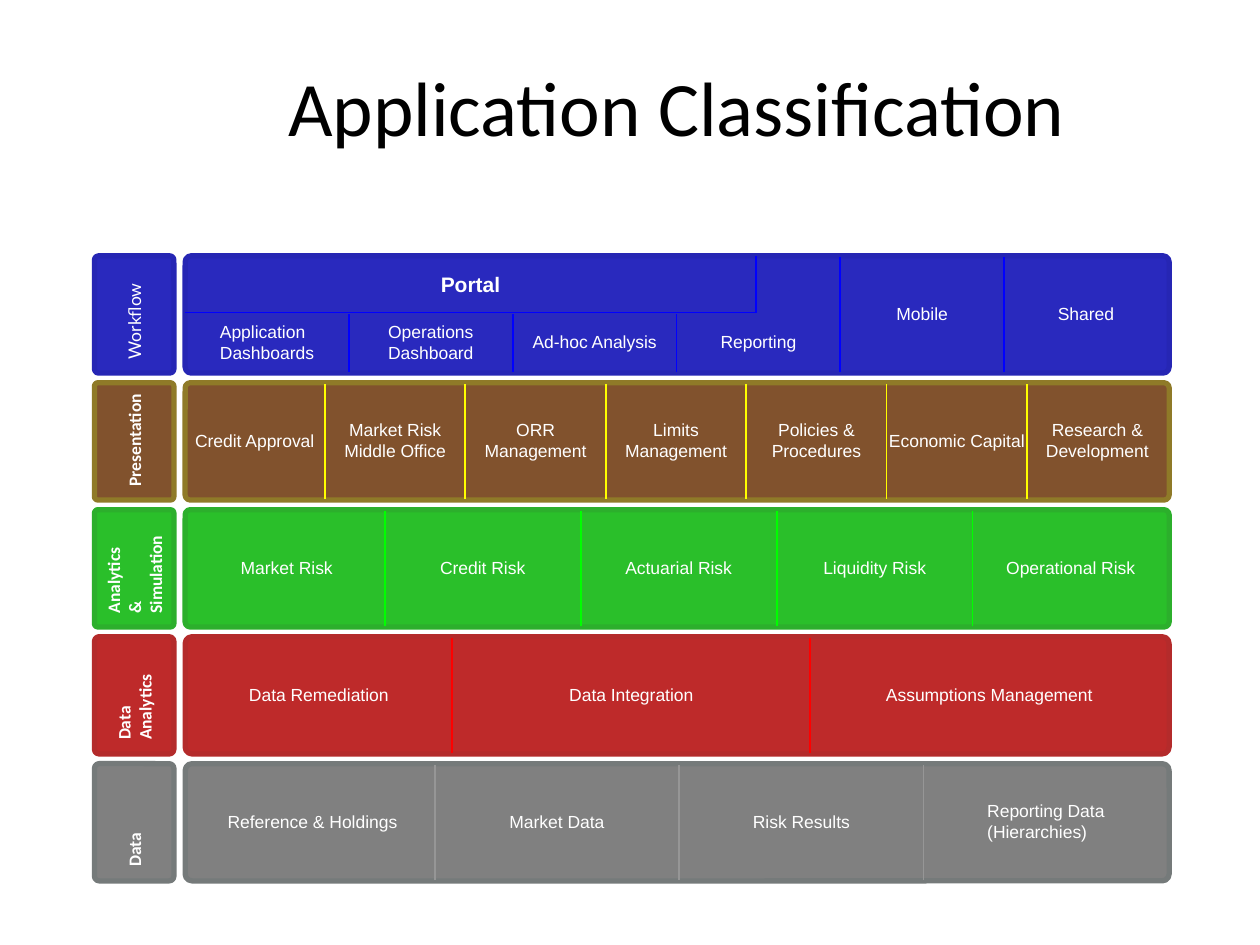
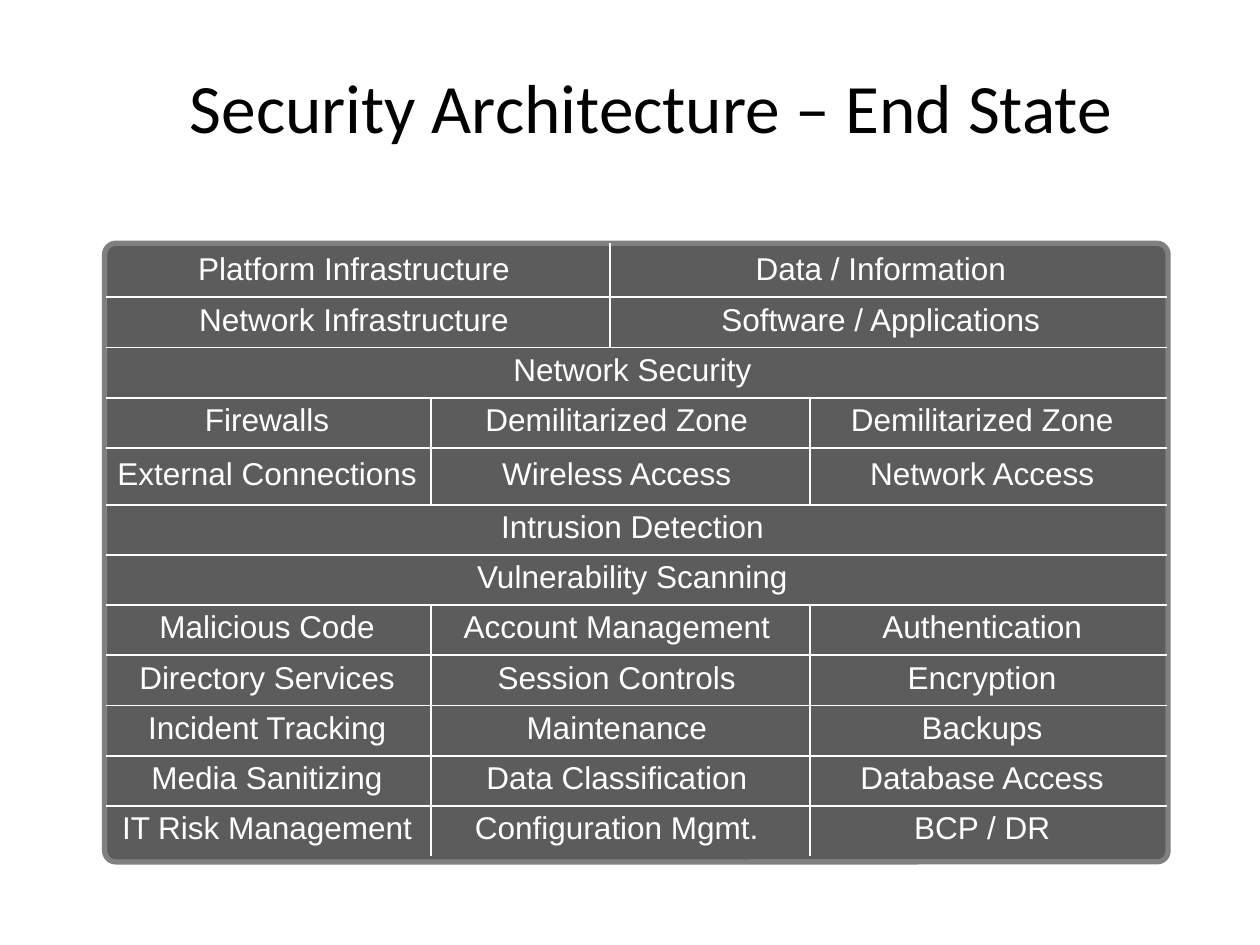
import pptx
import pptx.dml.color
import pptx.enum.shapes
import pptx.enum.text
import pptx.oxml
import pptx.oxml.ns
import pptx.util

Pt = pptx.util.Pt
RGBColor = pptx.dml.color.RGBColor
LEFT = pptx.enum.text.PP_ALIGN.LEFT
CENTER = pptx.enum.text.PP_ALIGN.CENTER

COLORS = {
    "black": "000000", "white": "FFFFFF",
    "blue": "2929BE", "blue edge": "2626B4", "blue line": "0000FF",
    "brown": "81522D", "brown edge": "8F7A28", "brown line": "FFFF00",
    "green": "2ABF2A", "green edge": "2CAF2C", "green line": "00FF00",
    "red": "BE2A2A", "red edge": "B42B2B", "red line": "FF0000",
    "gray": "808080", "gray edge": "757A7A", "gray line": "969696",
    "dark": "5C5C5C", "dark edge": "808080",
}
TITLE = {"name": "Calibri", "size": Pt(44), "bold": False}
LABEL = {"name": "Calibri", "size": Pt(10), "bold": True}
CELL = {"name": "Arial", "size": Pt(10), "bold": False}
PORTAL = CELL | {"size": Pt(12), "bold": True}
CONTROL = CELL | {"size": Pt(18)}


def add_box(slide, area, text="", font=CELL, align=LEFT, fill=None, corner=0.05,
            color="white", margins=(0, 0), body={"anchorCtr": "1"}):
    area = [Pt(length) for length in area]
    if fill:
        shape = slide.shapes.add_shape(
            pptx.enum.shapes.MSO_SHAPE.ROUNDED_RECTANGLE, *area)
        shape.adjustments[0] = corner
        shape.shadow.inherit = False
        shape.fill.solid()
        shape.fill.fore_color.rgb = RGBColor.from_string(COLORS[fill])
        shape.line.color.rgb = RGBColor.from_string(COLORS[fill + " edge"])
        shape.line.width = Pt(3)
    else:
        shape = slide.shapes.add_textbox(*area)
    if not text:
        return shape
    frame = shape.text_frame
    frame.word_wrap = True
    frame.vertical_anchor = pptx.enum.text.MSO_ANCHOR.MIDDLE
    frame.margin_left = frame.margin_right = Pt(margins[0])
    frame.margin_top = frame.margin_bottom = Pt(margins[1])
    for name, value in body.items():
        shape.element.find(".//" + pptx.oxml.ns.qn("a:bodyPr")).set(name, value)
    frame.text = text
    for paragraph in frame.paragraphs:
        paragraph.alignment = align
        for name, value in font.items():
            setattr(paragraph.font, name, value)
        paragraph.font.color.rgb = RGBColor.from_string(COLORS[color])
    return shape


def add_line(slide, start, end, color):
    line = slide.shapes.add_connector(
        pptx.enum.shapes.MSO_CONNECTOR.STRAIGHT,
        *[Pt(length) for length in (*start, *end)])
    line.line.color.rgb = RGBColor.from_string(COLORS[color])
    line.line.width = Pt(1)
    properties = line.element.find(pptx.oxml.ns.qn("p:spPr"))
    properties.append(pptx.oxml.parse_xml(
        f"<a:effectLst {pptx.oxml.ns.nsdecls('a')}/>"))


presentation = pptx.Presentation()
presentation.slide_width = Pt(720)
presentation.slide_height = Pt(540)
blank = presentation.slide_layouts[6]

slide = presentation.slides.add_slide(blank)
add_box(slide, (131.8, 21.6, 509.8, 77.8), "Application Classification",
        TITLE, CENTER, color="black")

band_left, band_top, band_width, band_height, band_pitch = 105.8, 146.2, 562.3, 67, 72.55
portal_bottom, portal_right, portal_cells = 178.6, 432, 4

layers = [
    ("Workflow", "blue", LEFT, 0.052, [105.8 + 93.6 * i for i in range(7)],
     ["Application Dashboards", "Operations Dashboard", "Ad-hoc Analysis",
      "Reporting", "Mobile", "Shared"]),
    ("Presentation", "brown", CENTER, 0.043, [105.4 + 80.25 * i for i in range(8)],
     ["Credit Approval", "Market Risk Middle Office", "ORR Management",
      "Limits Management", "Policies & Procedures", "Economic Capital",
      "Research & Development"]),
    ("Analytics\n& Simulation", "green", LEFT, 0.043, [107.8 + 112 * i for i in range(6)],
     ["Market Risk", "Credit Risk", "Actuarial Risk", "Liquidity Risk",
      "Operational Risk"]),
    ("Data Analytics", "red", LEFT, 0.059, [105.8, 258.5, 463, 667.5],
     ["Data Remediation", "Data Integration", "Assumptions Management"]),
    ("Data", "gray", LEFT, 0.059, [108.7 + 139.7 * i for i in range(5)],
     ["Reference & Holdings", "Market Data", "Risk Results",
      "Reporting Data\n(Hierarchies)"]),
]

for row, (label, color, align, corner, edges, applications) in enumerate(layers):
    top = band_top + row * band_pitch
    bottom = top + band_height
    add_box(slide, (band_left, top, band_width, band_height), fill=color, corner=corner)
    label_font = LABEL | {"name": "Lato", "bold": False} if label == "Workflow" else LABEL
    label_box = add_box(slide, (54, top, 45.4, band_height), label, label_font,
                        fill=color, corner=corner, margins=(3.6, 7.2),
                        body={"vert": "vert270"})
    label_box.text_frame.word_wrap = label != "Presentation"
    for column, application in enumerate(applications):
        left, right = edges[column:column + 2]
        in_portal = label == "Workflow" and column < portal_cells
        cell_top = portal_bottom if in_portal else top
        if column:
            add_line(slide, (left, cell_top + 0.7), (left, bottom - 0.7), color + " line")
        add_box(slide, (left, cell_top, right - left, bottom - 1.2 - cell_top),
                application, CELL, align)

add_line(slide, (band_left, portal_bottom), (portal_right, portal_bottom), "blue line")
add_line(slide, (portal_right, band_top), (portal_right, portal_bottom), "blue line")
add_box(slide, (band_left, band_top, portal_right - band_left, portal_bottom - band_top),
        "Portal", PORTAL)

slide = presentation.slides.add_slide(blank)
panel_left, panel_right = 60.5, 666.7
add_box(slide, (59.8, 139, 607.7, 353.5), fill="dark", corner=0.018)

control_rows = [
    ["Platform Infrastructure", "Data / Information"],
    ["Network Infrastructure", "Software / Applications"],
    ["Network Security"],
    ["Firewalls", "Demilitarized Zone", "Demilitarized Zone"],
    ["External Connections", "Wireless Access", "Network Access"],
    ["Intrusion Detection"],
    ["Vulnerability Scanning"],
    ["Malicious Code", "Account Management", "Authentication"],
    ["Directory Services", "Session Controls", "Encryption"],
    ["Incident Tracking", "Maintenance", "Backups"],
    ["Media Sanitizing", "Data Classification", "Database Access"],
    ["IT Risk Management", "Configuration Mgmt.", "BCP / DR"],
]
column_edges = {1: [60.5, 662.4], 2: [60.5, 344.2, 662.4], 3: [60.5, 244.8, 460.1, 662.4]}
row_height, tall_row, tall_height, line_drop = 28.7, 4, 32.4, 2.2
row_tops = [139 + row_height * i + (tall_height - row_height) * (i > tall_row)
            for i in range(len(control_rows) + 1)]

for top in row_tops[1:-1]:
    add_line(slide, (panel_left, top + line_drop), (panel_right, top + line_drop), "white")
for x, first_row, end_row in [(348.5, 0, 2), (246.2, 3, 5), (463, 3, 5),
                              (246.2, 7, 12), (463, 7, 12)]:
    start = row_tops[first_row] + (line_drop if first_row else 0)
    add_line(slide, (x, start), (x, row_tops[end_row] + line_drop), "white")

for row, controls in enumerate(control_rows):
    edges = column_edges[len(controls)]
    for column, control in enumerate(controls):
        left, right = edges[column:column + 2]
        add_box(slide, (left, row_tops[row], right - left, row_tops[row + 1] - row_tops[row]),
                control, CONTROL)

add_box(slide, (84.2, 21.6, 576, 77.8), "Security Architecture – End State",
        TITLE | {"size": Pt(39.6)}, CENTER, color="black")

presentation.save("out.pptx")
